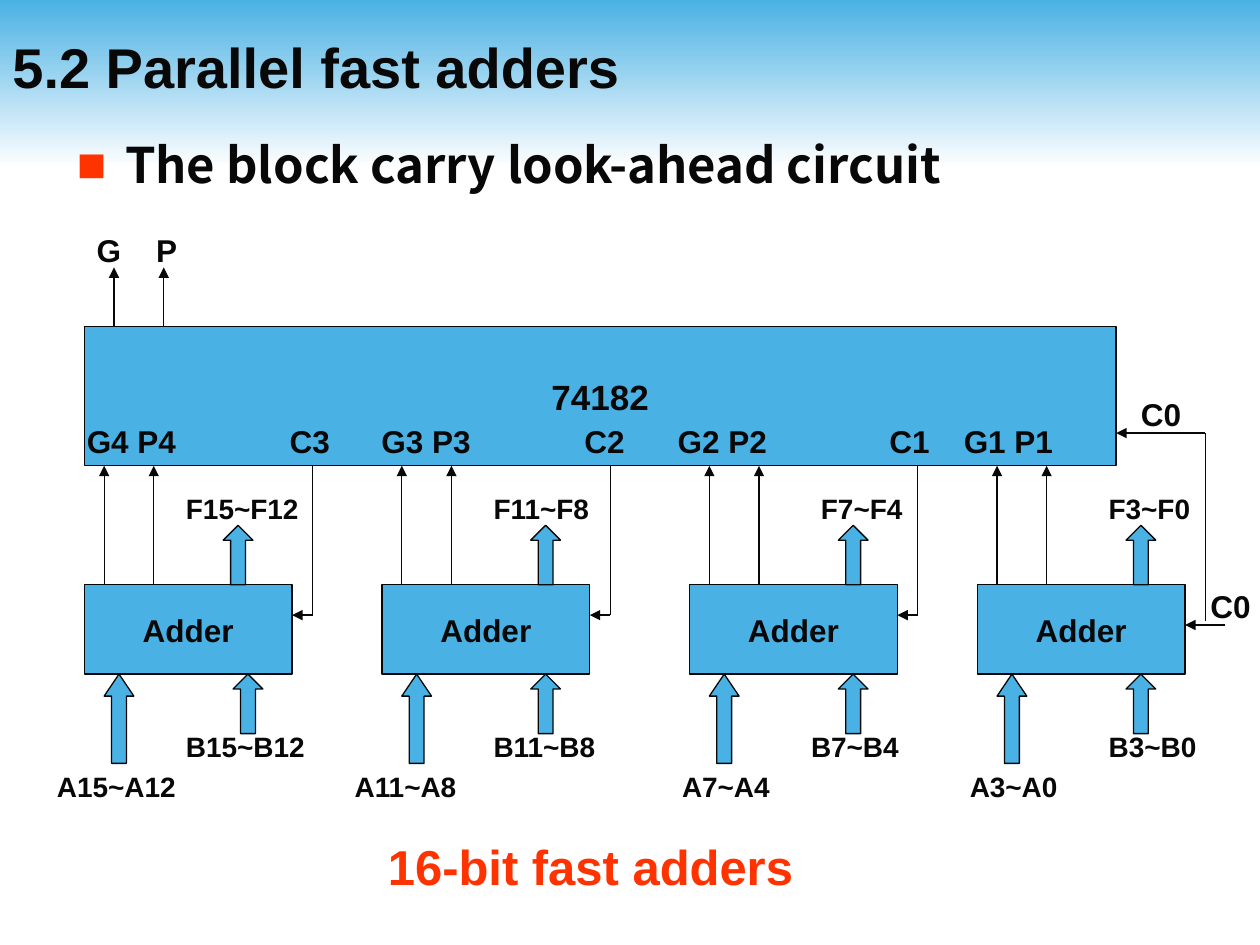
import pptx
import pptx.util
import pptx.dml.color
import pptx.enum.shapes
import pptx.enum.text
import pptx.oxml.ns
from lxml import etree
from pptx.util import Cm

COLORS = {"blue": "4AB1E4", "ink": "080808", "red": "FF3300", "white": "FFFFFF"}
SHAPES = pptx.enum.shapes.MSO_SHAPE
ALIGN = pptx.enum.text.PP_ALIGN
ANCHOR = pptx.enum.text.MSO_ANCHOR

# Content; all lengths are centimetres
TITLE = "5.2 Parallel fast adders"
HEADING = "The block carry look-ahead circuit"
CAPTION = "16-bit fast adders"
CHIP_NAME = "74182"
CHIP_PINS = ["G4 P4", "C3", "G3 P3", "C2", "G2 P2", "C1", "G1 P1"]
PIN_TABS = [4.09, 5.94, 10.03, 11.91, 16.18, 17.68]
GROUP_OUTPUTS = ["G", "P"]

# Each label is (text, offset from the adder's left side, width)
ADDERS = [
    {"left": 1.7, "output_arrow": 2.8, "carry": True, "F": ("F15~F12", 1.8, 3.0),
     "A": ("A15~A12", -0.8, 3.2), "B": ("B15~B12", 1.8, 3.2)},
    {"left": 7.7, "output_arrow": 3.0, "carry": True, "F": ("F11~F8", 2.0, 2.6),
     "A": ("A11~A8", -0.8, 3.2), "B": ("B11~B8", 2.0, 3.0)},
    {"left": 13.9, "output_arrow": 3.0, "carry": True, "F": ("F7~F4", 2.4, 2.6),
     "A": ("A7~A4", -0.4, 2.8), "B": ("B7~B4", 2.2, 2.8)},
    {"left": 19.7, "output_arrow": 3.0, "carry": False, "F": ("F3~F0", 2.4, 2.6),
     "A": ("A3~A0", -0.4, 2.8), "B": ("B3~B0", 2.4, 2.6)},
]
LABEL_TOPS = {"F": 9.78, "A": 15.39, "B": 14.58}

CHIP_LEFT, CHIP_TOP, CHIP_WIDTH, CHIP_HEIGHT = 1.7, 6.58, 20.8, 2.81
CHIP_RIGHT, CHIP_BOTTOM = CHIP_LEFT + CHIP_WIDTH, CHIP_TOP + CHIP_HEIGHT
ADDER_TOP, ADDER_WIDTH, ADDER_HEIGHT = 11.79, 4.19, 1.8
ADDER_BOTTOM = ADDER_TOP + ADDER_HEIGHT
SIGNAL_OFFSETS = (0.4, 1.4)
CARRY_OFFSET, CARRY_Y = 4.6, 12.4
ARROW_WIDTH, SHORT_ARROW, LONG_ARROW = 0.6, 1.2, 1.8


def color(name):
    return pptx.dml.color.RGBColor.from_string(COLORS[name])


def add_element(parent, tag, **attributes):
    element = etree.SubElement(parent, pptx.oxml.ns.qn(tag))
    for name, value in attributes.items():
        element.set(name, str(value))
    return element


def write_text(shape, text, size=18, ink="ink", font="Arial", align=ALIGN.LEFT,
               anchor=ANCHOR.TOP, inset=(0.25, 0.13), tabs=(), bullet=None, line_spacing=None):
    frame = shape.text_frame
    frame.word_wrap = True
    frame.vertical_anchor = anchor
    frame.margin_left = frame.margin_right = Cm(inset[0])
    frame.margin_top = frame.margin_bottom = Cm(inset[1])
    paragraph = frame.paragraphs[0]
    paragraph.alignment = align
    paragraph.space_before = pptx.util.Pt(0)
    if line_spacing:
        paragraph.line_spacing = line_spacing
    properties = paragraph._p.get_or_add_pPr()
    if bullet:
        properties.set("marL", str(Cm(0.97)))
        properties.set("indent", str(Cm(-0.97)))
        bullet_color = add_element(properties, "a:buClr")
        add_element(bullet_color, "a:srgbClr", val=COLORS["red"])
        add_element(properties, "a:buFont", typeface="Arial")
        add_element(properties, "a:buChar", char=bullet)
    if tabs:
        tab_list = add_element(properties, "a:tabLst")
        for position in tabs:
            add_element(tab_list, "a:tab", pos=Cm(position), algn="l")
    run = paragraph.add_run()
    run.text = text
    run.font.size = pptx.util.Pt(size)
    run.font.name = font
    run.font.bold = True
    run.font.color.rgb = color(ink)
    if font != "Arial":
        add_element(run._r.get_or_add_rPr(), "a:ea", typeface=font)


def place(shape, left, top, width, height):
    shape.left, shape.top, shape.width, shape.height = map(Cm, (left, top, width, height))


def add_label(slide, text, left, top, width, height=0.94, **text_format):
    box = slide.shapes.add_textbox(Cm(left), Cm(top), Cm(width), Cm(height))
    write_text(box, text, **text_format)


def add_block(slide, kind, left, top, width, height):
    shape = slide.shapes.add_shape(kind, Cm(left), Cm(top), Cm(width), Cm(height))
    shape.shadow.inherit = False
    shape.fill.solid()
    shape.fill.fore_color.rgb = color("blue")
    shape.line.color.rgb = color("ink")
    shape.line.width = pptx.util.Pt(0.75)
    return shape


def add_box(slide, text, left, top, width, height, size):
    box = add_block(slide, SHAPES.RECTANGLE, left, top, width, height)
    write_text(box, text, size=size, align=ALIGN.CENTER, anchor=ANCHOR.MIDDLE)


def add_up_arrow(slide, left, top, height, head=0.5):
    arrow = add_block(slide, SHAPES.UP_ARROW, left, top, ARROW_WIDTH, height)
    arrow.adjustments[0] = 0.5
    arrow.adjustments[1] = head


def add_wire(slide, start, end, arrow=True):
    wire = slide.shapes.add_connector(
        pptx.enum.shapes.MSO_CONNECTOR.STRAIGHT, *map(Cm, start + end))
    wire.line.color.rgb = color("ink")
    wire.line.width = pptx.util.Pt(0.75)
    if arrow:
        add_element(wire.line._get_or_add_ln(), "a:tailEnd", type="triangle")
    add_element(wire._element.spPr, "a:effectLst")


def add_adder(slide, adder):
    left = adder["left"]
    add_box(slide, "Adder", left, ADDER_TOP, ADDER_WIDTH, ADDER_HEIGHT, 18)
    add_up_arrow(slide, left + 0.4, ADDER_BOTTOM, LONG_ARROW, head=0.74)
    add_up_arrow(slide, left + 3.0, ADDER_BOTTOM, SHORT_ARROW)
    add_up_arrow(slide, left + adder["output_arrow"], ADDER_TOP - SHORT_ARROW, SHORT_ARROW)
    for name, top in LABEL_TOPS.items():
        text, offset, width = adder[name]
        add_label(slide, text, left + offset, top, width, size=16)
    for offset in SIGNAL_OFFSETS:
        add_wire(slide, (left + offset, ADDER_TOP), (left + offset, CHIP_BOTTOM))
    if adder["carry"]:
        corner = (left + CARRY_OFFSET, CARRY_Y)
        add_wire(slide, corner, (left + ADDER_WIDTH, CARRY_Y))
        add_wire(slide, corner, (corner[0], CHIP_BOTTOM), arrow=False)


def main():
    presentation = pptx.Presentation()
    presentation.slide_width, presentation.slide_height = Cm(25.4), Cm(19.05)
    slide = presentation.slides.add_slide(presentation.slide_layouts[1])
    title, body = slide.placeholders

    # Header band, sent behind the placeholders
    band = add_block(slide, SHAPES.RECTANGLE, 0, 0, 25.4, 3.39)
    band.line.fill.background()
    band.fill.gradient()
    band.fill.gradient_angle = 270
    for stop, name, position in zip(band.fill.gradient_stops, ("blue", "white"), (0, 1)):
        stop.color.rgb = color(name)
        stop.position = position
    slide.shapes._spTree.insert(2, band._element)

    # Title and heading
    place(title, 0, 0.13, 25.4, 2.41)
    write_text(title, TITLE, size=32, anchor=ANCHOR.MIDDLE)
    place(body, 1.3, 2.72, 22.4, 15.19)
    write_text(body, HEADING, size=28, font="Noto Sans CJK JP", bullet="■", line_spacing=0.9)

    # Look-ahead chip with its pins and group outputs
    add_box(slide, CHIP_NAME, CHIP_LEFT, CHIP_TOP, CHIP_WIDTH, CHIP_HEIGHT, 20)
    add_label(slide, "\t".join(CHIP_PINS), 1.5, 8.38, 20.8, 1.02, tabs=PIN_TABS)
    add_label(slide, "\t".join(GROUP_OUTPUTS), 1.7, 4.52, 2.6, 1.02, tabs=[1.2])
    for x in (2.3, 3.3):
        add_wire(slide, (x, CHIP_TOP), (x, 5.39))

    # Four adders
    for adder in ADDERS:
        add_adder(slide, adder)

    # Carry input
    add_wire(slide, (24.7, 12.6), (ADDERS[-1]["left"] + ADDER_WIDTH, 12.6))
    add_wire(slide, (24.3, 8.73), (CHIP_RIGHT, 8.73))
    add_wire(slide, (24.3, 12.52), (24.3, 8.73), arrow=False)
    for left, top in ((24.4, 11.84), (23.0, 7.97)):
        add_label(slide, "C0", left, top, 0.9, 0.76, inset=(0, 0))

    # Caption
    add_label(slide, CAPTION, 7.57, 16.74, 10.6, 1.45, size=28, ink="red")
    presentation.save("out.pptx")


if __name__ == "__main__":
    main()
